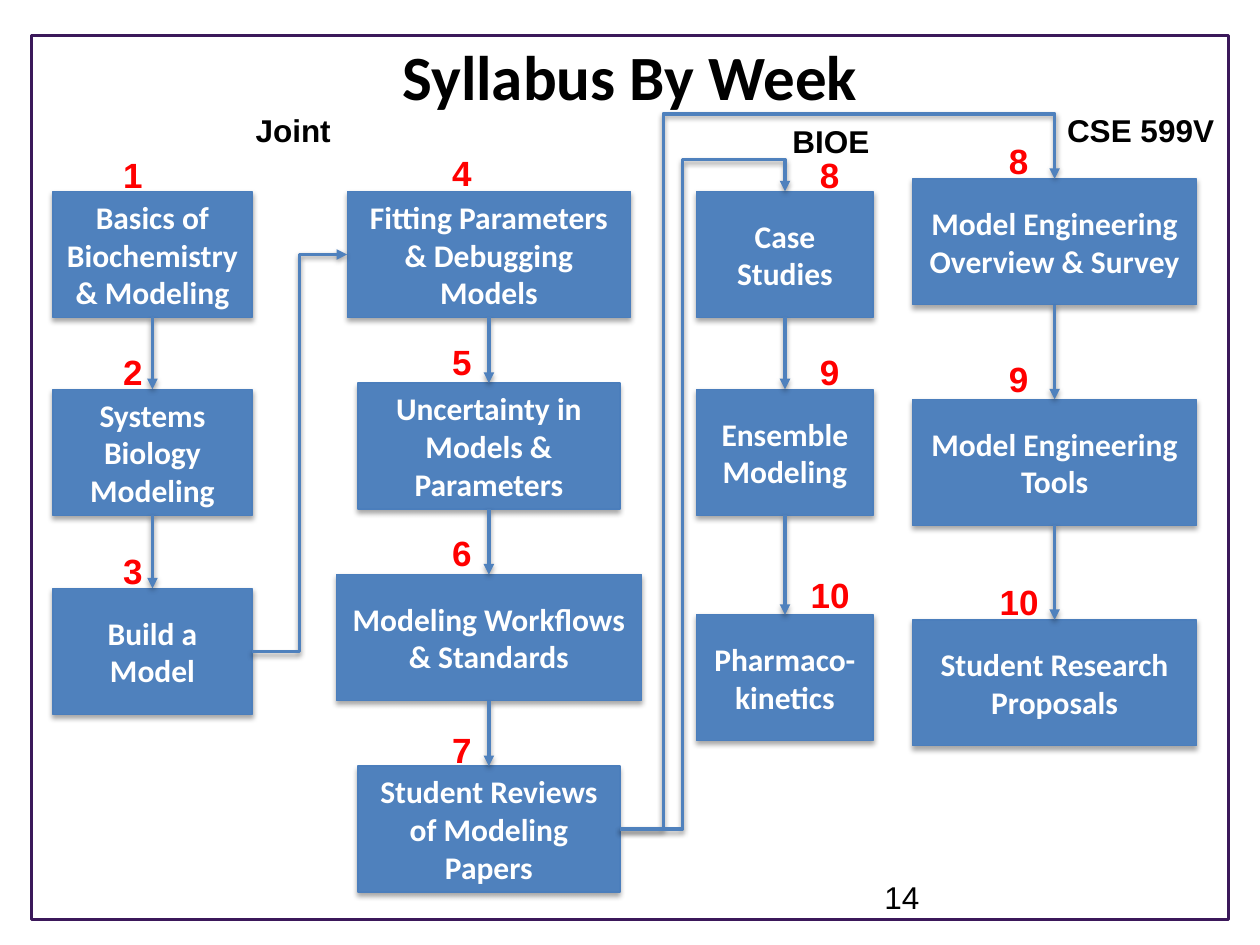
"""Builds the weekly syllabus flowchart slide."""
import itertools

import lxml.etree
import pptx
import pptx.dml.color
import pptx.enum.shapes
import pptx.enum.text
import pptx.oxml.ns
import pptx.util

Inches = pptx.util.Inches
Pt = pptx.util.Pt
RGBColor = pptx.dml.color.RGBColor
Anchor = pptx.enum.text.MSO_ANCHOR
Align = pptx.enum.text.PP_ALIGN
Connector = pptx.enum.shapes.MSO_CONNECTOR
qn = pptx.oxml.ns.qn

BLACK = RGBColor(0x00, 0x00, 0x00)
WHITE = RGBColor(0xFF, 0xFF, 0xFF)
RED = RGBColor(0xFF, 0x00, 0x00)
PURPLE = RGBColor(0x3B, 0x18, 0x5A)
BLUE = RGBColor(0x4F, 0x81, 0xBD)
EDGE_BLUE = RGBColor(0x4B, 0x7E, 0xBC)

TITLE_FONT = {"name": "Calibri", "size": Pt(36), "bold": True}
TOPIC_FONT = {"name": "Calibri", "size": Pt(18), "bold": True}
TRACK_FONT = {"name": "Arial", "size": Pt(18), "bold": True}
WEEK_FONT = {"name": "Arial", "size": Pt(20), "bold": True}
PAGE_FONT = {"name": "Arial", "size": Pt(18), "bold": False}

TOPIC_HEIGHT = 1

COLUMNS = [
    (1.21, 1.06, [
        ("1", 1.17, "Basics of Biochemistry & Modeling", 1.52, 1.58),
        ("2", 2.73, "Systems Biology Modeling", 3.09, 1.58),
        ("3", 4.31, "Build a Model", 4.67, 1.58),
    ]),
    (3.88, 3.67, [
        ("4", 1.15, "Fitting Parameters & Debugging Models", 1.52, 2.25),
        ("5", 2.65, "Uncertainty in Models & Parameters", 3.04, 2.08),
        ("6", 4.17, "Modeling Workflows & Standards", 4.56, 2.42),
        ("7", 5.73, "Student Reviews of Modeling Papers", 6.08, 2.08),
    ]),
    (6.23, 6.59, [
        ("8", 1.17, "Case Studies", 1.52, 1.4),
        ("9", 2.73, "Ensemble Modeling", 3.09, 1.4),
        ("10", 4.5, "Pharmaco- kinetics", 4.88, 1.4),
    ]),
    (8.37, 8.09, [
        ("8", 1.06, "Model Engineering Overview & Survey", 1.42, 2.25),
        ("9", 2.79, "Model Engineering Tools", 3.17, 2.25),
        ("10", 4.56, "Student Research Proposals", 4.92, 2.25),
    ]),
]

TRACKS = [
    ("Joint", 1.93, 0.83, 0.81),
    ("CSE 599V", 8.37, 0.83, 1.38),
    ("BIOE", 6.19, 0.92, 0.82),
]


class SyllabusSlide:
    """Holds the style and the slide being filled."""

    def __init__(self, slide):
        self.slide = slide
        self.shapes = slide.shapes

    def fill_text(self, frame, text, font, color, align):
        frame.text = text
        paragraph = frame.paragraphs[0]
        paragraph.alignment = align
        for attribute, value in font.items():
            setattr(paragraph.font, attribute, value)
        paragraph.font.color.rgb = color

    def shade(self, effects, blur, distance, opacity):
        shadow = lxml.etree.SubElement(
            effects, qn("a:outerShdw"), blurRad=str(Pt(blur)),
            dist=str(Pt(distance)), dir="5400000", rotWithShape="0")
        black = lxml.etree.SubElement(shadow, qn("a:srgbClr"), val="000000")
        lxml.etree.SubElement(black, qn("a:alpha"), val=str(opacity * 1000))

    def rectangle(self, left, top, width, height, edge, weight):
        box = self.shapes.add_shape(
            pptx.enum.shapes.MSO_SHAPE.RECTANGLE,
            Inches(left), Inches(top), Inches(width), Inches(height))
        box.fill.background()
        box.line.color.rgb = edge
        box.line.width = Pt(weight)
        box.shadow.inherit = False
        return box

    def title(self, text):
        heading = self.shapes.title
        heading.left, heading.top = Inches(0.5), Inches(0.25)
        heading.width, heading.height = Inches(9), Inches(0.92)
        heading.text_frame.vertical_anchor = Anchor.TOP
        self.fill_text(heading.text_frame, text, TITLE_FONT, BLACK,
                       Align.CENTER)

    def label(self, text, left, top, width, height, font, color):
        box = self.shapes.add_textbox(
            Inches(left), Inches(top), Inches(width), Inches(height))
        box.text_frame.word_wrap = False
        self.fill_text(box.text_frame, text, font, color, Align.LEFT)

    def topic(self, text, middle, top, width):
        box = self.rectangle(
            middle - width / 2, top, width, TOPIC_HEIGHT, EDGE_BLUE, 0.75)
        box.fill.solid()
        box.fill.fore_color.rgb = BLUE
        self.shade(box.element.spPr.find(qn("a:effectLst")), 3.1, 1.8, 35)
        box.text_frame.word_wrap = True
        box.text_frame.vertical_anchor = Anchor.MIDDLE
        self.fill_text(box.text_frame, text, TOPIC_FONT, WHITE, Align.CENTER)
        return box

    def arrow(self, source, source_side, target, target_side,
              preset=None, bends=()):
        route = Connector.ELBOW if preset else Connector.STRAIGHT
        link = self.shapes.add_connector(route, 0, 0, 0, 0)
        link.begin_connect(source, source_side)
        link.end_connect(target, target_side)
        link.line.color.rgb = BLUE
        link.line.width = Pt(2)
        properties = link.element.spPr
        lxml.etree.SubElement(
            properties.find(qn("a:ln")), qn("a:tailEnd"), type="triangle")
        effects = lxml.etree.SubElement(properties, qn("a:effectLst"))
        self.shade(effects, 3.1, 1.6, 38)
        if preset:
            geometry = properties.find(qn("a:prstGeom"))
            geometry.set("prst", preset)
            guides = geometry.find(qn("a:avLst"))
            for number, bend in enumerate(bends, 1):
                lxml.etree.SubElement(
                    guides, qn("a:gd"), name=f"adj{number}",
                    fmla=f"val {round(bend * 100000)}")


def main():
    deck = pptx.Presentation()
    deck.slide_width, deck.slide_height = Inches(10), Inches(7.5)
    syllabus = SyllabusSlide(deck.slides.add_slide(deck.slide_layouts[5]))

    syllabus.rectangle(0.25, 0.28, 9.5, 7.02, PURPLE, 1.75)
    syllabus.title("Syllabus By Week")
    syllabus.label("14", 6.92, 6.92, 1.92, 0.4, PAGE_FONT, BLACK)

    topics = [
        [syllabus.topic(text, middle, top, width)
         for _, _, text, top, width in weeks]
        for middle, _, weeks in COLUMNS
    ]
    basics, fitting, bioe, engineering = topics

    for column in topics:
        for earlier, later in itertools.pairwise(column):
            syllabus.arrow(earlier, 2, later, 0)
    syllabus.arrow(basics[-1], 3, fitting[0], 1, "bentConnector3", [0.5])
    syllabus.arrow(fitting[-1], 3, engineering[0], 0,
                   "bentConnector4", [0.1, 1.1])
    syllabus.arrow(fitting[-1], 3, bioe[0], 0,
                   "bentConnector4", [0.38, 1.05])

    for track, left, top, width in TRACKS:
        syllabus.label(track, left, top, width, 0.4, TRACK_FONT, BLACK)
    for _, middle, weeks in COLUMNS:
        for week, top, *_ in weeks:
            width = 0.36 if len(week) == 1 else 0.51
            syllabus.label(week, middle - width / 2, top, width, 0.44,
                           WEEK_FONT, RED)

    deck.save("out.pptx")


if __name__ == "__main__":
    main()
